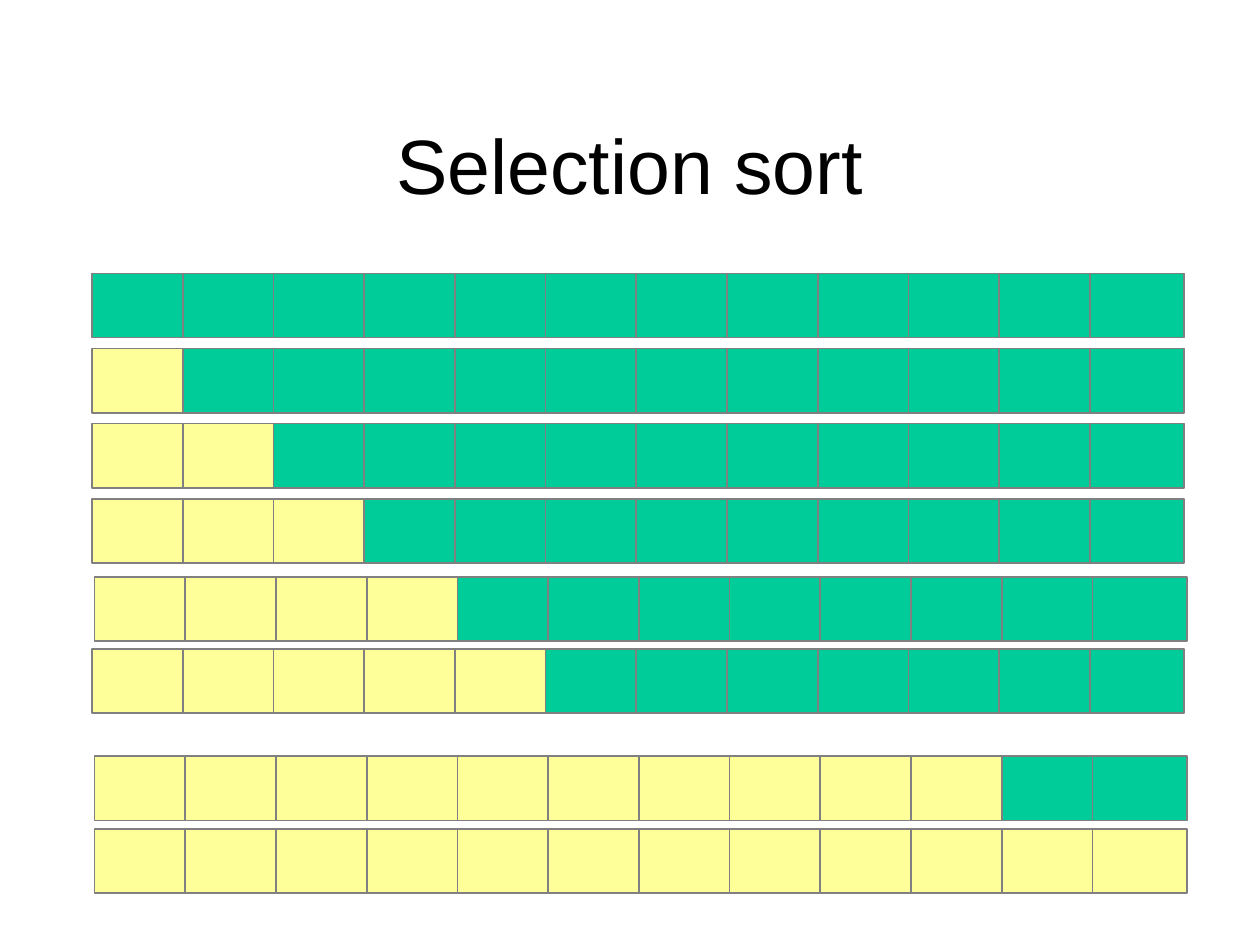
import dataclasses

import pptx
import pptx.dml.color
import pptx.enum.shapes
import pptx.enum.text
import pptx.slide
import pptx.util

SLIDE_W, SLIDE_H = 10, 7.5
LEFT, TOP = 0.73, 2.17
COL_W = 0.72
ROW_H = (5.15 - TOP) / 5
CELL_W, CELL_H = 0.75, 0.51
CELLS = 12
INDENT = 0.02 / COL_W
SORTED, UNSORTED, OUTLINE, INK = "FFFF99", "00CC99", "808080", "000000"


@dataclasses.dataclass(frozen=True)
class Pass:
    row: float
    sorted_count: int
    col: float = 0


PASSES = [
    Pass(0, 0),
    Pass(1, 1),
    Pass(2, 2),
    Pass(3, 3),
    Pass(4.04, 4, INDENT),
    Pass(5, 5),
    Pass(6.43, 10, INDENT),
    Pass(7.4, 12, INDENT),
]


def color(value: str) -> pptx.dml.color.RGBColor:
    return pptx.dml.color.RGBColor.from_string(value)


def add_title(s: pptx.slide.Slide, text: str) -> None:
    sp = s.shapes.title
    sp.left, sp.width = (pptx.util.Inches(SLIDE_W * f) for f in (0.075, 0.85))
    sp.top, sp.height = (pptx.util.Inches(SLIDE_H * f) for f in (0.09, 1 / 6))
    tf = sp.text_frame
    tf.vertical_anchor = pptx.enum.text.MSO_ANCHOR.MIDDLE
    p = tf.paragraphs[0]
    p.alignment = pptx.enum.text.PP_ALIGN.CENTER
    r = p.add_run()
    r.text = text
    r.font.name = "Arial"
    r.font.size = pptx.util.Pt(44)
    r.font.color.rgb = color(INK)


def add_array(s: pptx.slide.Slide, step: Pass) -> None:
    group = s.shapes.add_group_shape()
    for i in range(CELLS):
        sp = group.shapes.add_shape(
            pptx.enum.shapes.MSO_SHAPE.RECTANGLE,
            pptx.util.Inches(LEFT + (step.col + i) * COL_W),
            pptx.util.Inches(TOP + step.row * ROW_H),
            pptx.util.Inches(CELL_W),
            pptx.util.Inches(CELL_H),
        )
        sp.shadow.inherit = False
        sp.fill.solid()
        sp.fill.fore_color.rgb = color(SORTED if i < step.sorted_count else UNSORTED)
        sp.line.color.rgb = color(OUTLINE)
        sp.line.width = pptx.util.Pt(1)


def main() -> None:
    prs = pptx.Presentation()
    prs.slide_width = pptx.util.Inches(SLIDE_W)
    prs.slide_height = pptx.util.Inches(SLIDE_H)
    s = prs.slides.add_slide(prs.slide_layouts.get_by_name("Title Only"))
    add_title(s, "Selection sort")
    for step in PASSES:
        add_array(s, step)
    prs.save("out.pptx")


if __name__ == "__main__":
    main()
